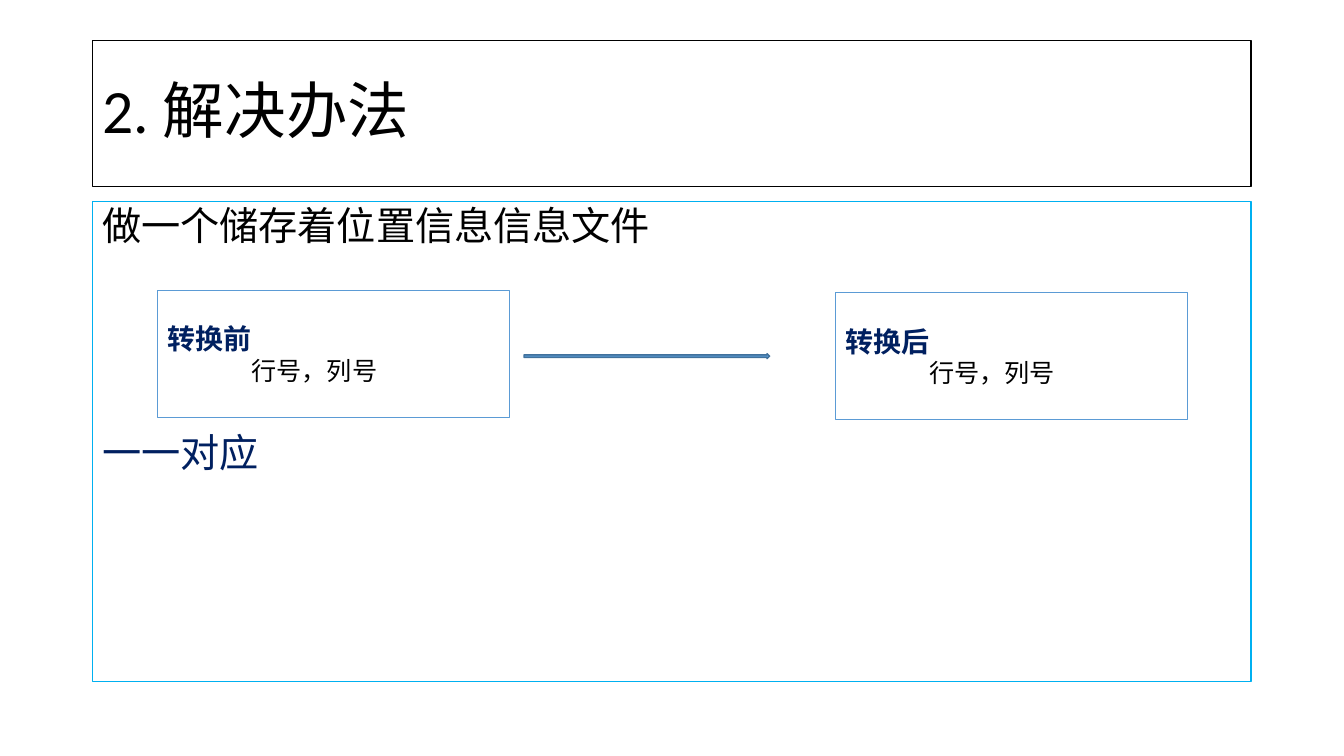
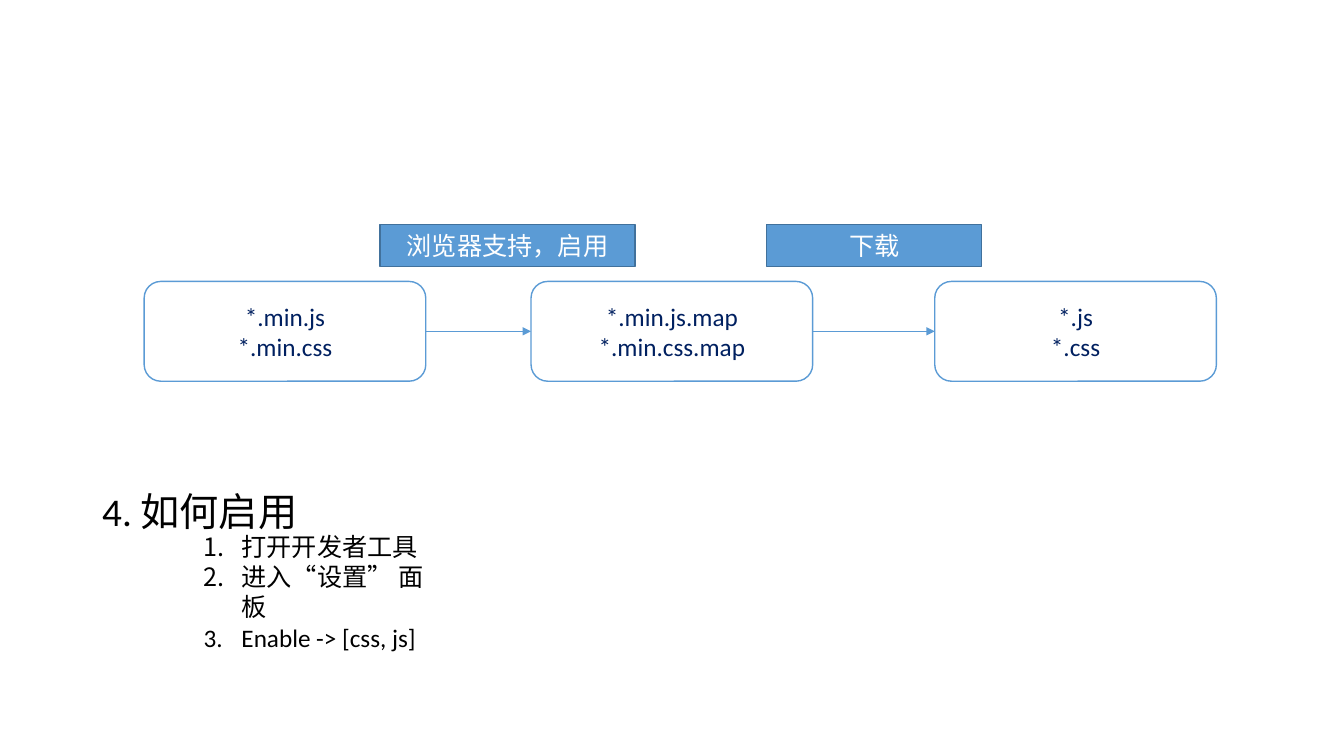
"""Build two slides on mapping converted files back to their sources."""
from pptx import Presentation
from pptx.dml.color import RGBColor
from pptx.enum.shapes import MSO_CONNECTOR, MSO_SHAPE
from pptx.enum.text import MSO_ANCHOR, PP_ALIGN
from pptx.oxml.ns import qn
from pptx.util import Pt
from lxml.etree import SubElement

HUES = {"ink": "000000", "paper": "FFFFFF", "navy": "002060",
        "blue": "5B9BD5", "edge": "41719C", "sky": "00B0F0"}
FONT = "Calibri"
LEFT, WIDE, TOP = 66, 828, 144


def draw(slide, kind, spot, fill, line):
    shape = slide.shapes.add_shape(kind, *map(Pt, spot))
    shape.shadow.inherit = False
    shape.fill.solid()
    shape.fill.fore_color.rgb = RGBColor.from_string(HUES[fill])
    shape.line.color.rgb = RGBColor.from_string(HUES[line])
    shape.line.width = Pt(1)
    return shape


def write(shape, rows, align=PP_ALIGN.LEFT, anchor=MSO_ANCHOR.MIDDLE, wrap=True):
    frame = shape.text_frame
    frame.word_wrap = wrap
    frame.vertical_anchor = anchor
    for i, (text, size, hue) in enumerate(rows):
        para = frame.add_paragraph() if i else frame.paragraphs[0]
        para.text = text
        para.alignment = align
        para.font.name = FONT
        para.font.size = Pt(size)
        para.font.color.rgb = RGBColor.from_string(HUES[hue])
    return frame.paragraphs


deck = Presentation()
deck.slide_width, deck.slide_height = Pt(960.5), Pt(540)
blank = deck.slide_layouts[6]

slide = deck.slides.add_slide(blank)
title = draw(slide, MSO_SHAPE.RECTANGLE, (LEFT, 29, WIDE, 104.4), "paper", "ink")
write(title, [("2. 解决办法", 44, "ink")])[0].line_spacing = 0.9

body = draw(slide, MSO_SHAPE.RECTANGLE, (LEFT, TOP, WIDE, 343), "paper", "sky")
paras = write(body, [("做一个储存着位置信息信息文件", 28, "ink"),
                     ("一一对应", 28, "navy")], anchor=MSO_ANCHOR.TOP)
for para in paras:
    para.line_spacing = 0.9
paras[1].space_before = Pt(132)

for name, x, y in (("转换前", 112.5, 207.4), ("转换后", 597, 209)):
    card = draw(slide, MSO_SHAPE.RECTANGLE, (x, y, 251.5, 90.7), "paper", "blue")
    head, note = write(card, [(name, 20, "navy"), ("行号，列号", 18, "ink")])
    head.font.bold = True
    note._p.get_or_add_pPr().set("marL", str(Pt(60)))

draw(slide, MSO_SHAPE.RIGHT_ARROW, (374.5, 252.6, 175.5, 3.6), "blue", "edge")

slide = deck.slides.add_slide(blank)
cards = []
for x, names in ((103, ("*.min.js", "*.min.css")),
                 (379.5, ("*.min.js.map", "*.min.css.map")),
                 (668, ("*.js", "*.css"))):
    card = draw(slide, MSO_SHAPE.ROUNDED_RECTANGLE, (x, 201, 201.3, 71.3),
                "paper", "blue")
    write(card, [(name, 18, "navy") for name in names], PP_ALIGN.CENTER)
    cards.append(card)

for start, end in zip(cards, cards[1:]):
    link = slide.shapes.add_connector(MSO_CONNECTOR.STRAIGHT, 0, 0, 0, 0)
    link.begin_connect(start, 3)
    link.end_connect(end, 1)
    link.line.color.rgb = RGBColor.from_string(HUES["blue"])
    link.line.width = Pt(0.5)
    SubElement(link.line._get_or_add_ln(), qn("a:tailEnd"), type="triangle")
    SubElement(link._element.spPr, qn("a:effectLst"))

for text, x, width in (("浏览器支持，启用", 271.5, 182.5), ("下载", 548, 153.5)):
    tag = draw(slide, MSO_SHAPE.RECTANGLE, (x, 160.5, width, 29.7), "blue", "edge")
    write(tag, [(text, 18, "paper")], PP_ALIGN.CENTER)

head = slide.shapes.add_textbox(*map(Pt, (LEFT, 348, WIDE, 40)))
write(head, [("4. 如何启用", 28, "ink")], anchor=MSO_ANCHOR.TOP)[0].line_spacing = 0.9

steps = slide.shapes.add_textbox(*map(Pt, (138.5, 376, 189, 72)))
rows = [(text, 18, "ink") for text in
        ("打开开发者工具", "进入“设置” 面板", "Enable -> [css, js]")]
for para in write(steps, rows, anchor=MSO_ANCHOR.TOP, wrap=False):
    props = para._p.get_or_add_pPr()
    props.set("marL", str(Pt(27)))
    props.set("indent", str(Pt(-27)))
    mark = props.makeelement(qn("a:buAutoNum"), {"type": "arabicPeriod"})
    props.find(qn("a:defRPr")).addprevious(mark)

deck.save("out.pptx")
